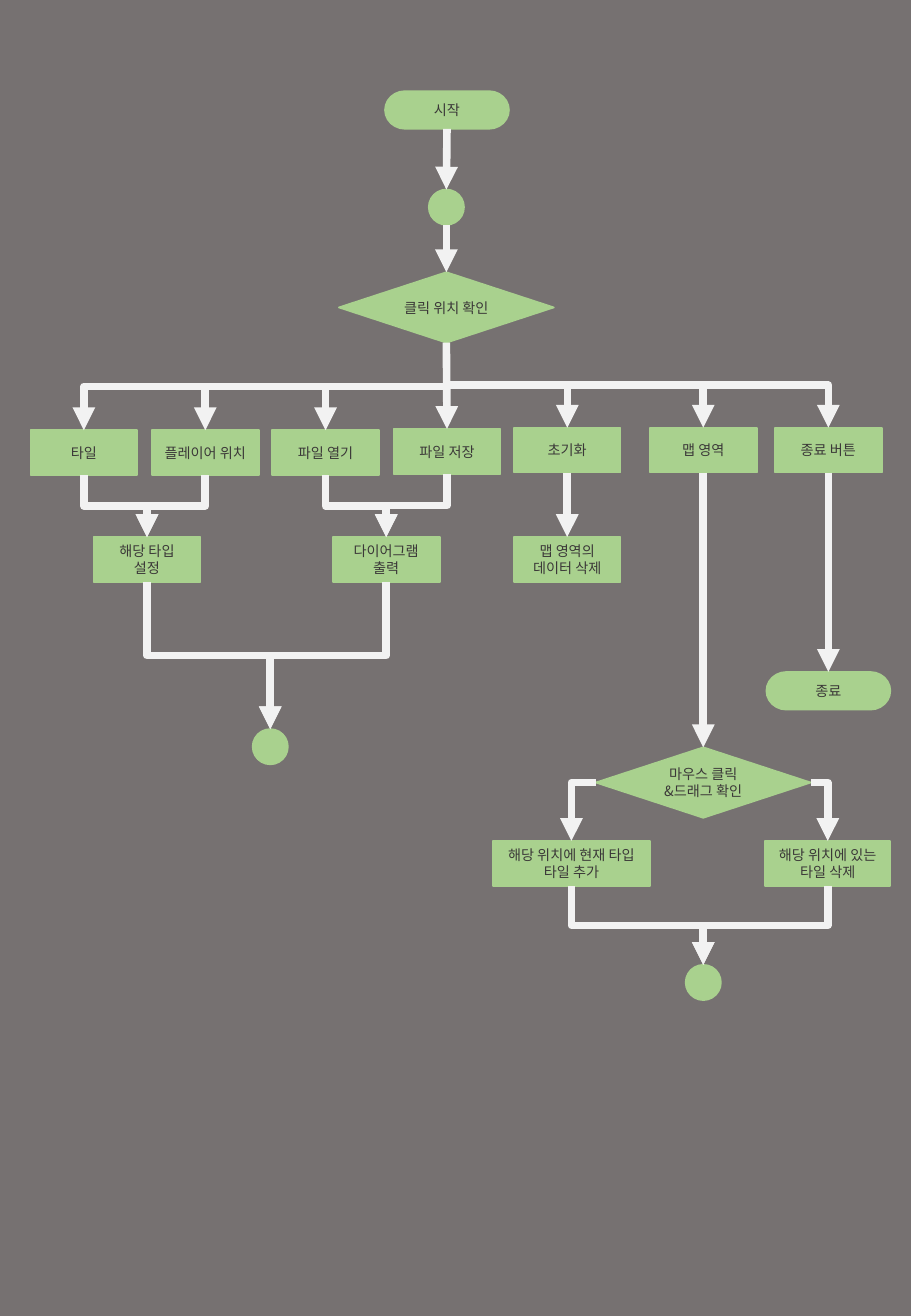
from lxml import etree
from pptx import Presentation
from pptx import util as u
from pptx.dml.color import RGBColor
from pptx.enum import shapes, text
from pptx.oxml.ns import qn

COLORS = {"ground": "767171", "node": "A9D18E", "arrow": "F2F2F2", "text": "3B3838"}
COLORS = {part: RGBColor.from_string(value) for part, value in COLORS.items()}
FONT = "Noto Sans CJK KR"
PRESET = shapes.MSO_SHAPE

deck = Presentation()
deck.slide_width, deck.slide_height = u.Inches(7.5), u.Inches(10.83)
col, row = deck.slide_width / 75, deck.slide_height / 108.3
slide = deck.slides.add_slide(deck.slide_layouts[6])
slide.background.fill.solid()
slide.background.fill.fore_color.rgb = COLORS["ground"]

KINDS = {
    "step": (PRESET.RECTANGLE, 8.8, 3.7),
    "wide step": (PRESET.RECTANGLE, 12.9, 3.7),
    "mid step": (PRESET.RECTANGLE, 10.3, 3.7),
    "choice": (PRESET.DIAMOND, 17.7, 5.8),
    "end": (PRESET.FLOWCHART_TERMINATOR, 10.2, 3.1),
    "join": (PRESET.FLOWCHART_CONNECTOR, 2.9, 2.9),
}
NODES = {
    "start": ("end", 36.8, 7.5, "시작"),
    "loop": ("join", 36.75, 15.6, ""),
    "click": ("choice", 36.75, 22.4, "클릭 위치 확인"),
    "tile": ("step", 6.9, 35.4, "타일"),
    "player": ("step", 16.9, 35.4, "플레이어 위치"),
    "open": ("step", 26.8, 35.4, "파일 열기"),
    "save": ("step", 36.8, 35.3, "파일 저장"),
    "reset": ("step", 46.7, 35.2, "초기화"),
    "map": ("step", 57.9, 35.2, "맵 영역"),
    "quit": ("step", 68.2, 35.2, "종료 버튼"),
    "set type": ("step", 12.1, 44.2, "해당 타입\n설정"),
    "dialog": ("step", 31.8, 44.2, "다이어그램\n출력"),
    "clear": ("step", 46.7, 44.2, "맵 영역의\n데이터 삭제"),
    "finish": ("end", 68.2, 55.3, "종료"),
    "left join": ("join", 22.25, 60, ""),
    "mouse": ("choice", 57.9, 61.5, "마우스 클릭\n&드래그 확인"),
    "add": ("wide step", 47.05, 69.2, "해당 위치에 현재 타입\n타일 추가"),
    "delete": ("mid step", 68.15, 69.2, "해당 위치에 있는 타일 삭제"),
    "right join": ("join", 57.9, 79.4, ""),
}
TOP, LEFT, BOTTOM, RIGHT = range(4)
JOIN_BOTTOM = 4
FLOWS = [
    ("start", BOTTOM, ["loop"]),
    ("loop", BOTTOM, ["click"]),
    ("click", BOTTOM, ["tile", "player", "open", "save", "reset", "map", "quit"]),
    ("tile", BOTTOM, ["set type"]),
    ("player", BOTTOM, ["set type"]),
    ("open", BOTTOM, ["dialog"]),
    ("save", BOTTOM, ["dialog"]),
    ("reset", BOTTOM, ["clear"]),
    ("map", BOTTOM, ["mouse"]),
    ("quit", BOTTOM, ["finish"]),
    ("set type", BOTTOM, ["left join"]),
    ("dialog", BOTTOM, ["left join"]),
    ("mouse", LEFT, ["add"]),
    ("mouse", RIGHT, ["delete"]),
    ("add", BOTTOM, ["right join"]),
    ("delete", BOTTOM, ["right join"]),
]

placed = {}
for name, (kind, center, top, wording) in NODES.items():
    preset, width, height = KINDS[kind]
    node = slide.shapes.add_shape(
        preset, round((center - width / 2) * col), round(top * row),
        round(width * col), round(height * row))
    node.shadow.inherit = False
    node.fill.solid()
    node.fill.fore_color.rgb = node.line.color.rgb = COLORS["node"]
    node.line.width = u.Pt(1)
    placed[name] = node
    if not wording:
        continue
    frame = node.text_frame
    frame.text = wording
    frame.word_wrap = True
    frame.vertical_anchor = text.MSO_ANCHOR.MIDDLE
    frame.margin_left = frame.margin_right = round(0.6 * col)
    frame.margin_top = frame.margin_bottom = 0
    for line in frame.paragraphs:
        line.alignment = text.PP_ALIGN.CENTER
        line.font.size = u.Pt(8.4)
        line.font.color.rgb = COLORS["text"]
        line.font.name = FONT
        etree.SubElement(line.font._element, qn("a:ea"), typeface=FONT)

for source, side, targets in FLOWS:
    for target in targets:
        straight = abs(NODES[source][1] - NODES[target][1]) < 0.2
        style = shapes.MSO_CONNECTOR.STRAIGHT if straight else shapes.MSO_CONNECTOR.ELBOW
        arrow = slide.shapes.add_connector(style, 0, 0, 0, 0)
        arrow.begin_connect(placed[source], side)
        arrow.end_connect(placed[target], TOP)
        arrow.line.color.rgb = COLORS["arrow"]
        arrow.line.width = u.Pt(4.5)
        properties = arrow._element.spPr
        etree.SubElement(properties.find(qn("a:ln")), qn("a:tailEnd"), type="triangle")
        etree.SubElement(properties, qn("a:effectLst"))
        if NODES[source][0] == "join":
            arrow._element.find(".//" + qn("a:stCxn")).set("idx", str(JOIN_BOTTOM))
        if side != BOTTOM:
            properties.find(qn("a:prstGeom")).set("prst", "bentConnector2")
        elif not straight:
            rightward = arrow.end_x > arrow.begin_x
            across, down = arrow.width, arrow.height
            arrow.left += (across - down) // 2
            arrow.top += (down - across) // 2
            arrow.width, arrow.height = down, across
            turned = properties.find(qn("a:xfrm"))
            turned.set("rot", str((270 if rightward else 90) * 60000))
            turned.set("flipH", str(int(rightward)))

deck.save("out.pptx")
